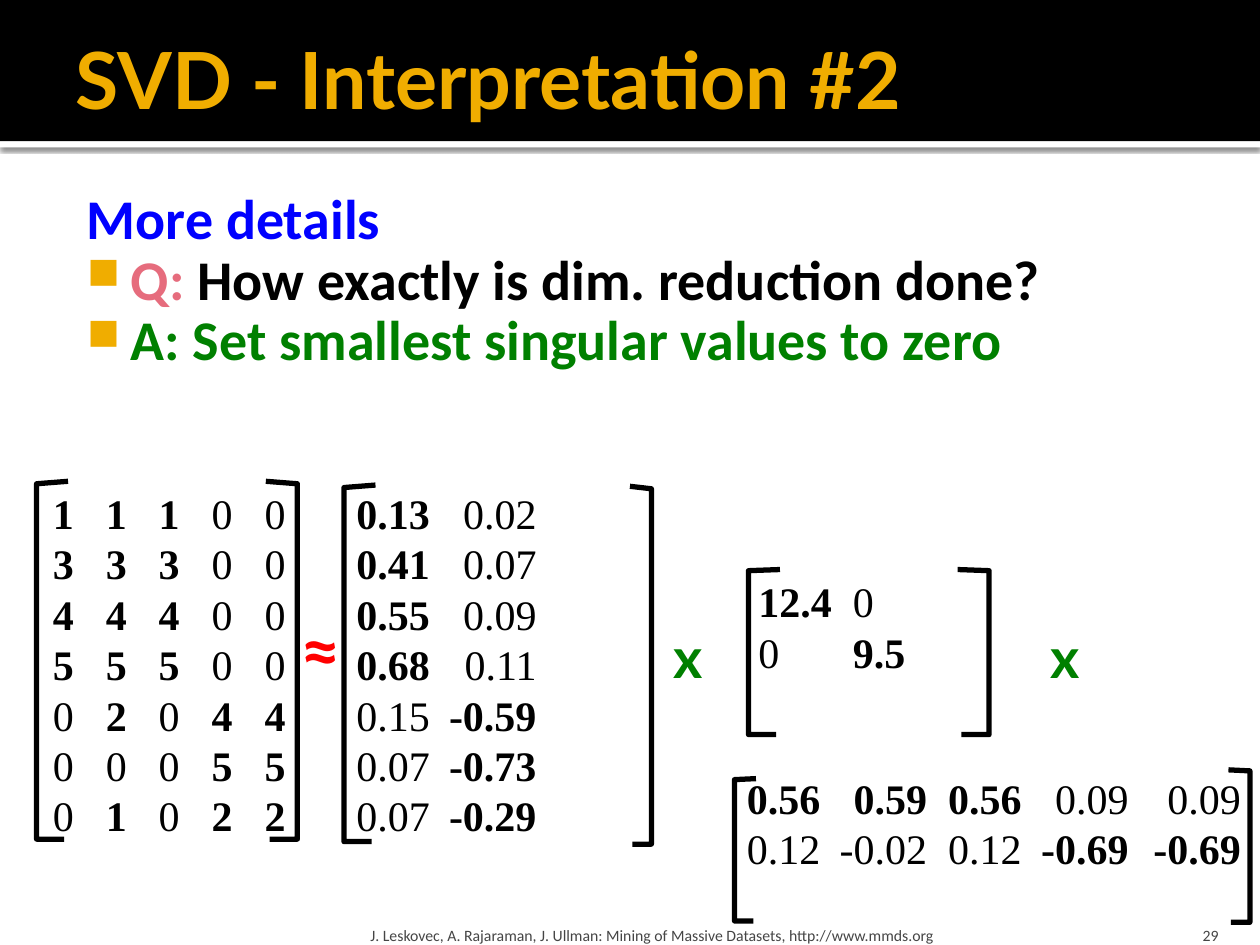
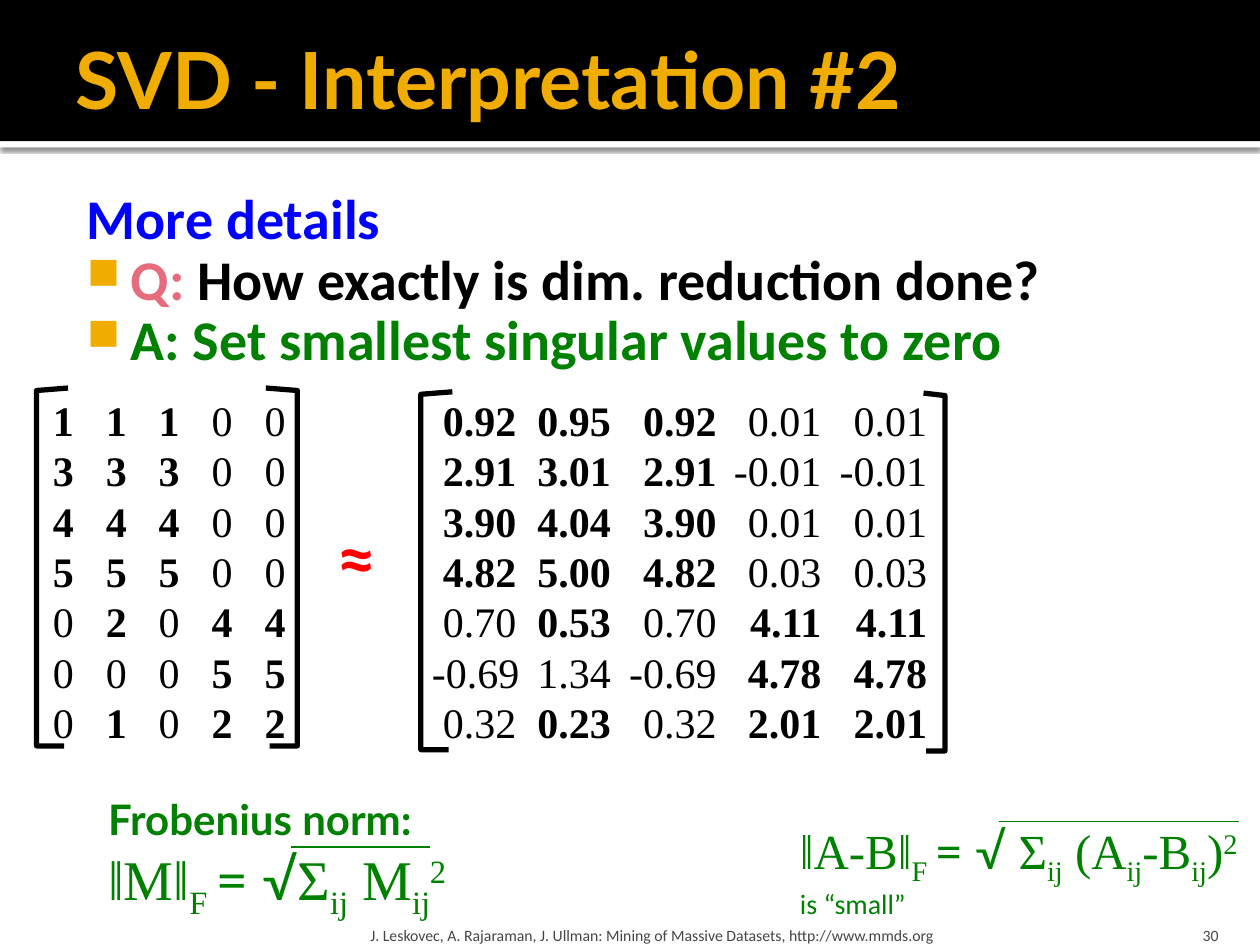
import pptx
import pptx.util
import pptx.dml.color
import pptx.oxml
import pptx.oxml.ns
import pptx.enum.text
import pptx.enum.shapes
from lxml import etree

Inches = pptx.util.Inches
Pt = pptx.util.Pt
RGBColor = pptx.dml.color.RGBColor
Anchor = pptx.enum.text.MSO_ANCHOR
Align = pptx.enum.text.PP_ALIGN
qn = pptx.oxml.ns.qn

BLACK = RGBColor(0x00, 0x00, 0x00)
WHITE = RGBColor(0xFF, 0xFF, 0xFF)
GOLD = RGBColor(0xF0, 0xAD, 0x00)
BLUE = RGBColor(0x00, 0x00, 0xFF)
PINK = RGBColor(0xE6, 0x6C, 0x7D)
GREEN = RGBColor(0x00, 0x80, 0x00)
RED = RGBColor(0xFF, 0x00, 0x00)
GREY = RGBColor(0x45, 0x45, 0x45)

HEADING = "Lato"
BODY = "Calibri"
MATH = "Times New Roman"
BASELINES = {"sub": -25000, "sup": 30000}

TITLE = "SVD - Interpretation #2"
SOURCE = "J. Leskovec, A. Rajaraman, J. Ullman: Mining of Massive Datasets, http://www.mmds.org"
DETAILS = [
    (False, [("More details", BLUE)]),
    (True, [("Q:", PINK), (" How exactly is dim. reduction done?", BLACK)]),
    (True, [("A: Set smallest singular values to zero", GREEN)]),
]

RATINGS = [
    "*1 *1 *1 0 0",
    "*3 *3 *3 0 0",
    "*4 *4 *4 0 0",
    "*5 *5 *5 0 0",
    "0 *2 0 *4 *4",
    "0 0 0 *5 *5",
    "0 *1 0 *2 *2",
]
LEFT_VECTORS = [
    "*0.13 0.02",
    "*0.41 0.07",
    "*0.55 0.09",
    "*0.68 0.11",
    "0.15 *-0.59",
    "0.07 *-0.73",
    "0.07 *-0.29",
]
SINGULAR_VALUES = ["*12.4 0", "0 *9.5"]
RIGHT_VECTORS = [
    "*0.56 *0.59 *0.56 0.09 0.09",
    "0.12 -0.02 0.12 *-0.69 *-0.69",
]
APPROXIMATION = [
    "*0.92 *0.95 *0.92 0.01 0.01",
    "*2.91 *3.01 *2.91 -0.01 -0.01",
    "*3.90 *4.04 *3.90 0.01 0.01",
    "*4.82 *5.00 *4.82 0.03 0.03",
    "0.70 *0.53 0.70 *4.11 *4.11",
    "-0.69 1.34 -0.69 *4.78 *4.78",
    "0.32 *0.23 0.32 *2.01 *2.01",
]

RATING_STOPS = [round(0.42 * step, 2) for step in range(1, 5)]
APPROXIMATION_STOPS = [0.67, 1.42, 2.26, 3.09, 3.93]
RIGHT_STOPS = [1.43, 2.18, 3.03, 3.92]

NORM = [("ǁMǁ", ""), ("F ", "sub"), ("= √", "sans"), ("Σ", ""), ("ij", "sub"),
        (" M", ""), ("ij", "sub"), ("2", "sup")]
DISTANCE = [("ǁA-Bǁ", ""), ("F ", "sub"), ("= √ ", "sans"), ("Σ", ""), ("ij", "sub"),
            (" (A", ""), ("ij", "sub"), ("-B", ""), ("ij", "sub"), (")", ""), ("2", "sup")]


def style(span, font, size, color, bold=False):
    span.font.name = font
    span.font.size = Pt(size)
    span.font.color.rgb = color
    span.font.bold = bold


def add_span(para, text, font, size, color, bold=False):
    span = para.add_run()
    span.text = text
    style(span, font, size, color, bold)
    return span


def add_box(page, at, insets=(0.1, 0.05, 0.1, 0.05), anchor=Anchor.TOP, wrap=True):
    box = page.shapes.add_textbox(*map(Inches, at))
    frame = box.text_frame
    frame.word_wrap = wrap
    frame.vertical_anchor = anchor
    (frame.margin_left, frame.margin_top,
     frame.margin_right, frame.margin_bottom) = map(Inches, insets)
    return frame


def add_label(page, at, text, font, size, color, bold=False, align=Align.LEFT, **layout):
    para = add_box(page, at, **layout).paragraphs[0]
    para.text = text
    para.alignment = align
    style(para.runs[0], font, size, color, bold)


def next_para(frame, index):
    return frame.add_paragraph() if index else frame.paragraphs[0]


def add_band(page, top, height, color):
    band = page.shapes.add_shape(pptx.enum.shapes.MSO_SHAPE.RECTANGLE,
                                 0, Inches(top), Inches(10), Inches(height))
    band.shadow.inherit = False
    band.fill.solid()
    band.fill.fore_color.rgb = color
    band.line.fill.background()
    return band


def add_band_shadow(band):
    effects = band._element.spPr.find(qn("a:effectLst"))
    shadow = etree.SubElement(effects, qn("a:outerShdw"), blurRad=str(Pt(2.5)),
                              dist=str(Pt(0.8)), dir="5400000", rotWithShape="0")
    tint = etree.SubElement(shadow, qn("a:srgbClr"), val=str(BLACK))
    etree.SubElement(tint, qn("a:alpha"), val="60000")


def add_details(page):
    frame = add_box(page, (0.5, 1.42, 9, 5.75), insets=(0.06, 0.1, 0.1, 0.05))
    for index, (bulleted, spans) in enumerate(DETAILS):
        para = next_para(frame, index)
        para.line_spacing = 0.9
        for text, color in spans:
            add_span(para, text, BODY, 32, color, True)
        settings = para._p.get_or_add_pPr()
        settings.set("marL", str(Inches(0.48)))
        settings.set("indent", str(Inches(-0.35)))
        if bulleted:
            tint = etree.SubElement(settings, qn("a:buClr"))
            etree.SubElement(tint, qn("a:srgbClr"), val=str(GOLD))
            etree.SubElement(settings, qn("a:buSzPct"), val="80000")
            etree.SubElement(settings, qn("a:buChar"), char="■")


def add_page(deck, number):
    page = deck.slides.add_slide(deck.slide_layouts[6])
    add_band_shadow(add_band(page, 1.12, 0.05, WHITE))
    add_band(page, 0, 1.12, BLACK)
    add_label(page, (0.5, 0.08, 9, 1.08), TITLE, HEADING, 45, GOLD, True,
              insets=(0.1, 0.05, 0.05, 0.05), anchor=Anchor.MIDDLE)
    add_details(page)
    add_label(page, (2.89, 7.2, 6.02, 0.3), SOURCE, BODY, 9, GREY,
              insets=(0.05, 0.05, 0.05, 0), anchor=Anchor.BOTTOM)
    add_label(page, (8.97, 7.2, 0.8, 0.3), str(number), BODY, 9, GREY,
              align=Align.RIGHT, insets=(0.1, 0.05, 0.1, 0), anchor=Anchor.BOTTOM)
    return page


def add_bracket(page, edge, arm, top, bottom):
    slope = 0.007 * (bottom - top)
    points = [(edge + arm, top), (edge, top + slope), (edge, bottom), (edge + 0.88 * arm, bottom)]
    points = [(Inches(x), Inches(y)) for x, y in points]
    builder = page.shapes.build_freeform(*points[0])
    builder.add_line_segments(points[1:], close=False)
    bracket = builder.convert_to_shape()
    bracket.shadow.inherit = False
    bracket.fill.background()
    bracket.line.color.rgb = BLACK
    bracket.line.width = Pt(3)


def add_matrix(page, rows, at, stops, align, inset=0.1):
    frame = add_box(page, at, insets=(inset, 0.05, 0, 0.05))
    for index, row in enumerate(rows):
        para = next_para(frame, index)
        para.line_spacing = Pt(28.8)
        cells = row.split()
        untabbed = len(cells) - len(stops)
        for column, cell in enumerate(cells):
            gap = "" if column < untabbed else "\t"
            add_span(para, gap + cell.lstrip("*"), MATH, 24, BLACK, cell.startswith("*"))
        tabs = etree.SubElement(para._p.get_or_add_pPr(), qn("a:tabLst"))
        for stop in stops:
            etree.SubElement(tabs, qn("a:tab"), pos=str(Inches(stop)), algn=align)


def add_ratings(page, top):
    add_bracket(page, 0.29, 0.25, top, top + 2.84)
    add_bracket(page, 2.36, -0.25, top, top + 2.84)
    add_matrix(page, RATINGS, (0.25, top, 2.17, 2.93), RATING_STOPS, "l", 0.17)


def add_operator(page, sign, at, size, color):
    add_label(page, at, sign, HEADING, size, color, True, anchor=Anchor.MIDDLE, wrap=False)


def add_formula(para, parts, size):
    for text, kind in parts:
        span = add_span(para, text, HEADING if kind == "sans" else MATH, size, GREEN)
        if kind in BASELINES:
            span.font._element.set("baseline", str(BASELINES[kind]))


def add_root_bar(page, left, right, top):
    bar = page.shapes.add_connector(pptx.enum.shapes.MSO_CONNECTOR.STRAIGHT,
                                    Inches(left), Inches(top), Inches(right), Inches(top))
    bar.line.color.rgb = GREEN
    bar.line.width = Pt(1)
    etree.SubElement(bar._element.spPr, qn("a:effectLst"))


def build_factors(deck):
    page = add_page(deck, 29)
    add_ratings(page, 3.82)
    add_operator(page, "≈", (2.29, 4.76, 0.51, 0.77), 40, RED)
    add_bracket(page, 2.73, 0.25, 3.85, 6.68)
    add_bracket(page, 5.17, -0.17, 3.86, 6.7)
    add_matrix(page, LEFT_VECTORS, (2.73, 3.82, 2.75, 2.93), [1.43], "r")
    for left in (5.25, 8.24):
        add_operator(page, "x", (left, 4.89, 0.44, 0.64), 32, GREEN)
    add_bracket(page, 5.94, 0.25, 4.52, 5.83)
    add_bracket(page, 7.85, -0.25, 4.52, 5.83)
    add_matrix(page, SINGULAR_VALUES, (5.92, 4.52, 2.17, 0.91), [0.75], "l")
    add_bracket(page, 5.83, 0.17, 6.18, 7.31)
    add_bracket(page, 9.92, -0.17, 6.11, 7.32)
    add_matrix(page, RIGHT_VECTORS, (5.83, 6.08, 4.17, 0.91), RIGHT_STOPS, "r")


def build_result(deck):
    page = add_page(deck, 30)
    add_ratings(page, 3.08)
    add_operator(page, "≈", (2.57, 4.03, 0.51, 0.77), 40, RED)
    add_bracket(page, 3.34, 0.25, 3.11, 5.95)
    add_bracket(page, 7.5, -0.17, 3.12, 5.96)
    add_matrix(page, APPROXIMATION, (3.33, 3.08, 4.75, 2.93), APPROXIMATION_STOPS, "r")

    frame = add_box(page, (0.76, 6.25, 2.91, 1.04), wrap=False)
    add_span(frame.paragraphs[0], "Frobenius norm:", HEADING, 24, GREEN, True)
    add_formula(frame.add_paragraph(), NORM, 32)
    add_root_bar(page, 2.31, 3.41, 6.72)

    frame = add_box(page, (6.25, 6.46, 3.71, 1.04), wrap=False)
    add_formula(frame.paragraphs[0], DISTANCE, 28)
    add_span(frame.add_paragraph(), "is “small”", BODY, 16, GREEN)
    add_root_bar(page, 7.93, 9.83, 6.52)


deck = pptx.Presentation()
deck.slide_width = Inches(10)
deck.slide_height = Inches(7.5)
build_factors(deck)
build_result(deck)
deck.save("out.pptx")
